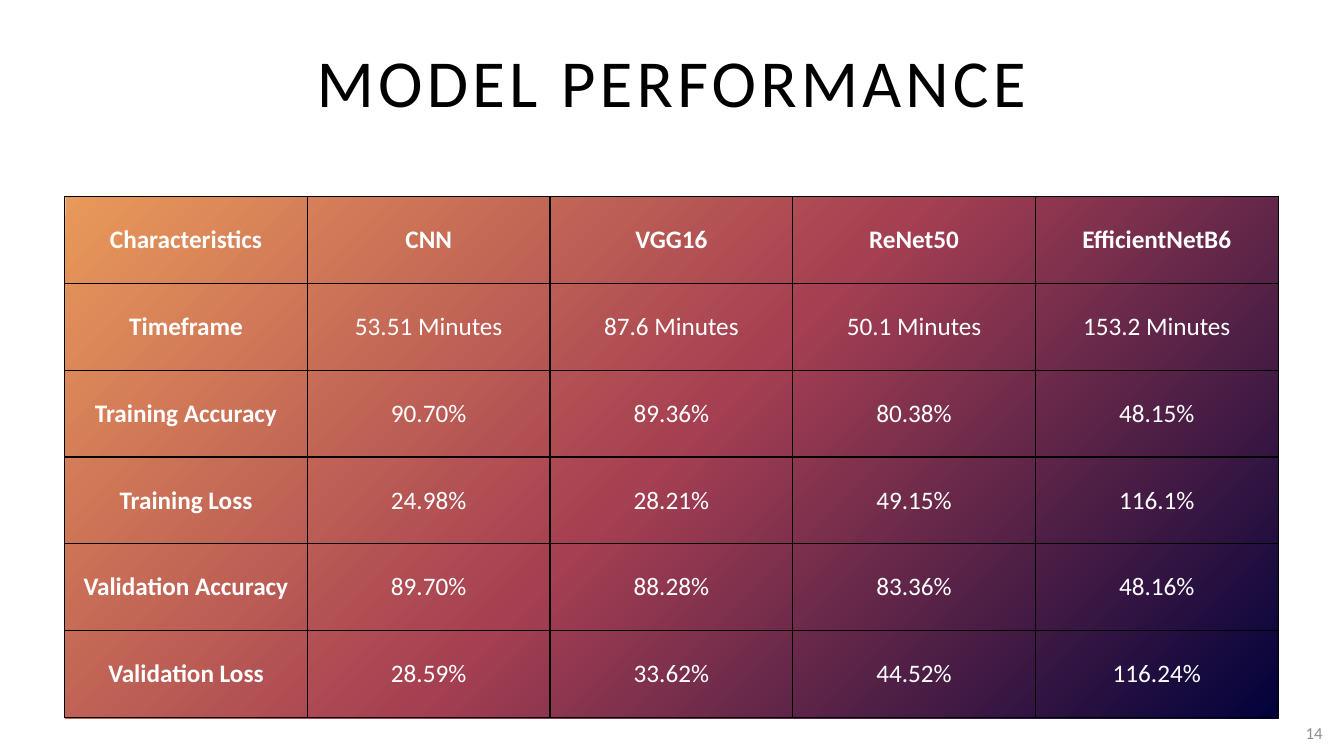
from lxml import etree
from pptx import Presentation
from pptx.dml.color import RGBColor
from pptx.enum.shapes import MSO_SHAPE
from pptx.enum.text import MSO_ANCHOR, PP_ALIGN
from pptx.oxml import parse_xml
from pptx.oxml.ns import nsdecls, qn
from pptx.util import Cm, Pt

CENTER, RIGHT = PP_ALIGN.CENTER, PP_ALIGN.RIGHT
MIDDLE = MSO_ANCHOR.MIDDLE
RECTANGLE = MSO_SHAPE.RECTANGLE

COLORS = {
    "title": "000000",
    "number": "8C8C8C",
    "cell": "FFFFFF",
    "border": "000000",
    "navy": "01023B",
    "crimson": "A53F52",
    "orange": "E9995A",
}
BACKDROP_STOPS = [(0, "navy"), (50, "crimson"), (100, "orange")]
RESULTS = [
    ["Characteristics", "CNN", "VGG16", "ReNet50", "EfficientNetB6"],
    ["Timeframe", "53.51 Minutes", "87.6 Minutes", "50.1 Minutes", "153.2 Minutes"],
    ["Training Accuracy", "90.70%", "89.36%", "80.38%", "48.15%"],
    ["Training Loss", "24.98%", "28.21%", "49.15%", "116.1%"],
    ["Validation Accuracy", "89.70%", "88.28%", "83.36%", "48.16%"],
    ["Validation Loss", "28.59%", "33.62%", "44.52%", "116.24%"],
]


def write_text(frame, text, size=18, color="cell", bold=False, align=CENTER, spacing=0):
    """Write one formatted paragraph into a text frame."""
    paragraph = frame.paragraphs[0]
    paragraph.alignment = align
    run = paragraph.add_run()
    run.text = text
    run.font.name = "Calibri"
    run.font.size = Pt(size)
    run.font.bold = bold
    run.font.color.rgb = RGBColor.from_string(COLORS[color])
    if spacing:
        run.font._element.set("spc", str(spacing * 100))


def add_label(slide, box, text, **text_format):
    """Add a vertically centred text box."""
    shape = slide.shapes.add_textbox(*map(Cm, box))
    frame = shape.text_frame
    frame.word_wrap = True
    frame.vertical_anchor = MIDDLE
    write_text(frame, text, **text_format)


def add_backdrop(slide, box):
    """Add the rectangle whose gradient spreads from its lower right corner."""
    shape = slide.shapes.add_shape(RECTANGLE, *map(Cm, box))
    shape.shadow.inherit = False
    shape.line.fill.background()
    shape.fill.background()
    stops = "".join(
        f'<a:gs pos="{position * 1000}"><a:srgbClr val="{COLORS[color]}"/></a:gs>'
        for position, color in BACKDROP_STOPS
    )
    gradient = parse_xml(
        f'<a:gradFill {nsdecls("a")} rotWithShape="1"><a:gsLst>{stops}</a:gsLst>'
        '<a:path path="circle"><a:fillToRect l="100000" t="100000"/></a:path></a:gradFill>'
    )
    properties = shape._element.spPr
    properties.replace(properties.find(qn("a:noFill")), gradient)


def add_borders(cell):
    """Draw a thin line on all four sides of a cell."""
    properties = cell._tc.get_or_add_tcPr()
    for side in ("lnL", "lnR", "lnT", "lnB"):
        line = etree.SubElement(properties, qn(f"a:{side}"), w=str(Pt(1)))
        fill = etree.SubElement(line, qn("a:solidFill"))
        etree.SubElement(fill, qn("a:srgbClr"), val=COLORS["border"])


def add_results_table(slide, box):
    """Add the transparent results table with equal rows and columns."""
    left, top, width, height = map(Cm, box)
    row_count, column_count = len(RESULTS), len(RESULTS[0])
    table = slide.shapes.add_table(row_count, column_count, left, top, width, height).table
    table.first_row = False
    table.horz_banding = False
    for row_index, values in enumerate(RESULTS):
        for column_index, value in enumerate(values):
            cell = table.cell(row_index, column_index)
            cell.vertical_anchor = MIDDLE
            cell.margin_left = cell.margin_right = Cm(0.13)
            cell.margin_top = cell.margin_bottom = Cm(0.13)
            add_borders(cell)
            cell.fill.background()
            write_text(cell.text_frame, value, bold=row_index == 0 or column_index == 0)


def main():
    """Build the model performance slide and save it."""
    presentation = Presentation()
    presentation.slide_width, presentation.slide_height = Cm(33.87), Cm(19.05)
    slide = presentation.slides.add_slide(presentation.slide_layouts[6])
    add_backdrop(slide, (1.65, 4.95, 30.56, 13.16))
    add_label(slide, (1.65, 0.89, 30.56, 2.29), "MODEL PERFORMANCE",
              size=48, color="title", spacing=3)
    add_label(slide, (32.08, 17.96, 1.5, 1.02), "14", size=12, color="number", align=RIGHT)
    add_results_table(slide, (1.63, 4.95, 30.58, 13.13))
    presentation.save("out.pptx")


if __name__ == "__main__":
    main()
